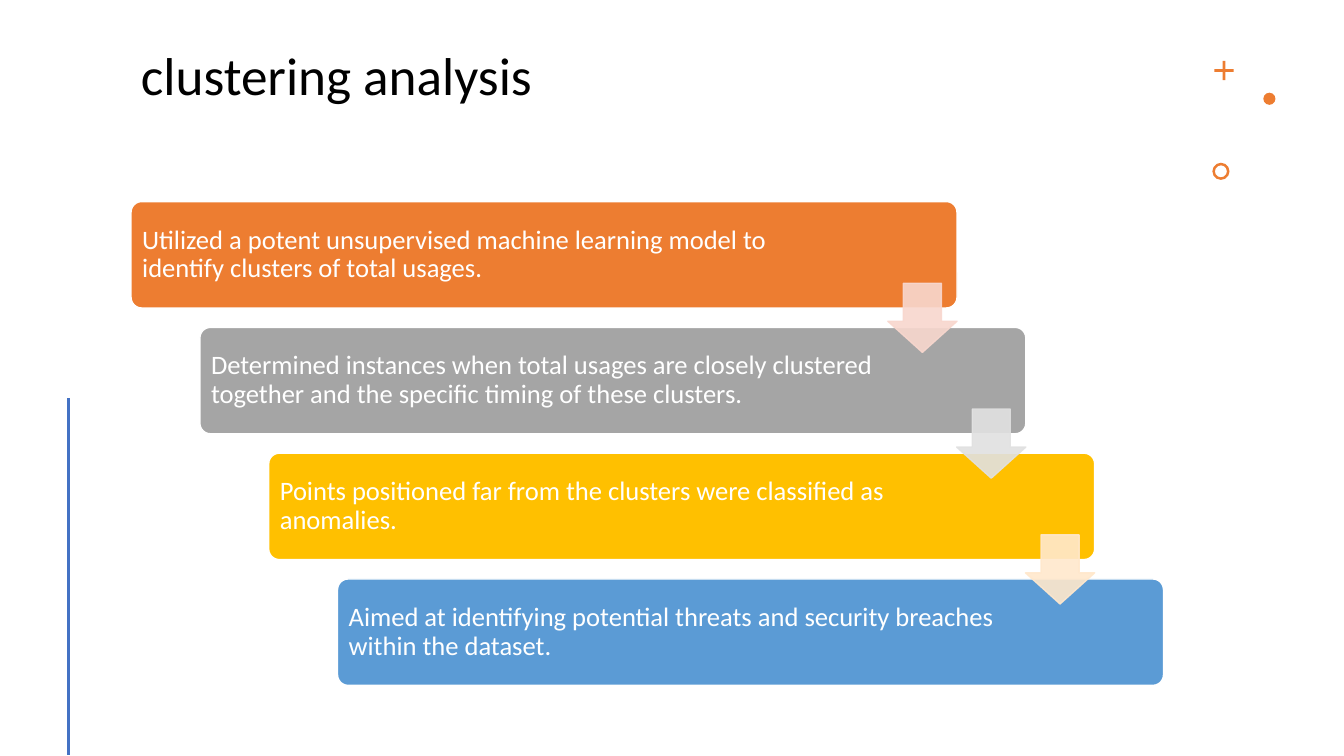
from lxml.etree import SubElement
from pptx import Presentation
from pptx.dml.color import RGBColor
from pptx.enum.shapes import MSO_CONNECTOR, MSO_SHAPE
from pptx.enum.text import MSO_ANCHOR, PP_ALIGN
from pptx.oxml.ns import qn
from pptx.util import Inches, Pt

COLORS = {
    "white": "FFFFFF", "black": "000000", "blue": "4472C4", "orange": "ED7D31",
    "gray": "A5A5A5", "gold": "FFC000", "sky": "5B9BD5",
    "pale_orange": "F8D7CE", "pale_gray": "E1E1E1", "pale_gold": "FFE8CC",
}
STEPS = [
    ("Utilized a potent unsupervised machine learning model to identify "
     "clusters of total usages.", "orange", "pale_orange"),
    ("Determined instances when total usages are closely clustered together "
     "and the specific timing of these clusters.", "gray", "pale_gray"),
    ("Points positioned far from the clusters were classified as anomalies.",
     "gold", "pale_gold"),
    ("Aimed at identifying potential threats and security breaches within "
     "the dataset.", "sky", None),
]
ORNAMENTS = [
    (MSO_SHAPE.MATH_PLUS, 12.14, 0.7, 0.26, 0.1),
    (MSO_SHAPE.OVAL, 12.59, 0.98, 0.12, None),
    (MSO_SHAPE.DONUT, 12.11, 1.7, 0.17, 0.15),
]


def add_figure(preset, left, top, width, height, fill, outline=None, adjust=()):
    """Add a shadowless preset shape; lengths are in inches."""
    figure = slide.shapes.add_shape(
        preset, Inches(left), Inches(top), Inches(width), Inches(height))
    figure.shadow.inherit = False
    figure.fill.solid()
    figure.fill.fore_color.rgb = RGBColor.from_string(COLORS[fill])
    if outline:
        figure.line.color.rgb = RGBColor.from_string(COLORS[outline])
        figure.line.width = Pt(1)
    else:
        figure.line.fill.background()
    for index, value in enumerate(adjust):
        figure.adjustments[index] = value
    return figure


def write(holder, words, size, color, frame_format):
    frame = holder.text_frame
    for name, value in frame_format.items():
        setattr(frame, name, value)
    paragraph = frame.paragraphs[0]
    paragraph.alignment = PP_ALIGN.LEFT
    paragraph.line_spacing = 0.9
    run = paragraph.add_run()
    run.text = words
    run.font.color.rgb = RGBColor.from_string(COLORS[color])
    for name, value in {"name": "Calibri", "size": Pt(size)}.items():
        setattr(run.font, name, value)


presentation = Presentation()
presentation.slide_width, presentation.slide_height = Inches(13.33), Inches(7.5)
slide = presentation.slides.add_slide(presentation.slide_layouts[6])

# Title and ornaments
stair_left, stair_top, stair_width, stair_height = 1.3, 2, 10.24, 4.8
title = slide.shapes.add_textbox(
    Inches(stair_left), Inches(0.42), Inches(stair_width), Inches(1.31))
write(title, "clustering analysis", 38, "black", {
    "word_wrap": True, "vertical_anchor": MSO_ANCHOR.TOP, "margin_top": Inches(0.07)})

for preset, center_x, center_y, size, thickness in ORNAMENTS:
    add_figure(preset, center_x - size / 2, center_y - size / 2, size, size,
               "orange", adjust=[thickness] if thickness else [])

side_rule = slide.shapes.add_connector(
    MSO_CONNECTOR.STRAIGHT, Inches(0.68), Inches(3.95), Inches(0.68), Inches(7.49))
side_rule.line.color.rgb = RGBColor.from_string(COLORS["blue"])
side_rule.line.width = Pt(2)
SubElement(side_rule._element.spPr, qn("a:effectLst"))

# Staircase of steps
step_width, step_height = stair_width * 0.8, stair_height * 0.22
shift_x = (stair_width - step_width) / (len(STEPS) - 1)
shift_y = (stair_height - step_height) / (len(STEPS) - 1)
arrow_size = step_height * 0.65
step_format = {
    "word_wrap": True, "vertical_anchor": MSO_ANCHOR.MIDDLE,
    "margin_left": Inches(0.08), "margin_right": Inches(1.37),
    "margin_top": Inches(0.08), "margin_bottom": Inches(0.08),
}
for index, (words, color, _) in enumerate(STEPS):
    step = add_figure(
        MSO_SHAPE.ROUNDED_RECTANGLE, stair_left + index * shift_x,
        stair_top + index * shift_y, step_width, step_height, color, "white", [0.1])
    write(step, words, 19, "white", step_format)

# Arrows lie over the steps, flush with the right edge of the upper one
for index, (_, _, pale) in enumerate(STEPS[:-1]):
    arrow = add_figure(
        MSO_SHAPE.DOWN_ARROW,
        stair_left + index * shift_x + step_width - arrow_size,
        stair_top + index * shift_y + 0.81,
        arrow_size, arrow_size, pale, pale, [0.55, 0.45])
    for tint in arrow._element.spPr.iter(qn("a:srgbClr")):
        SubElement(tint, qn("a:alpha"), val="90000")

presentation.save("out.pptx")
